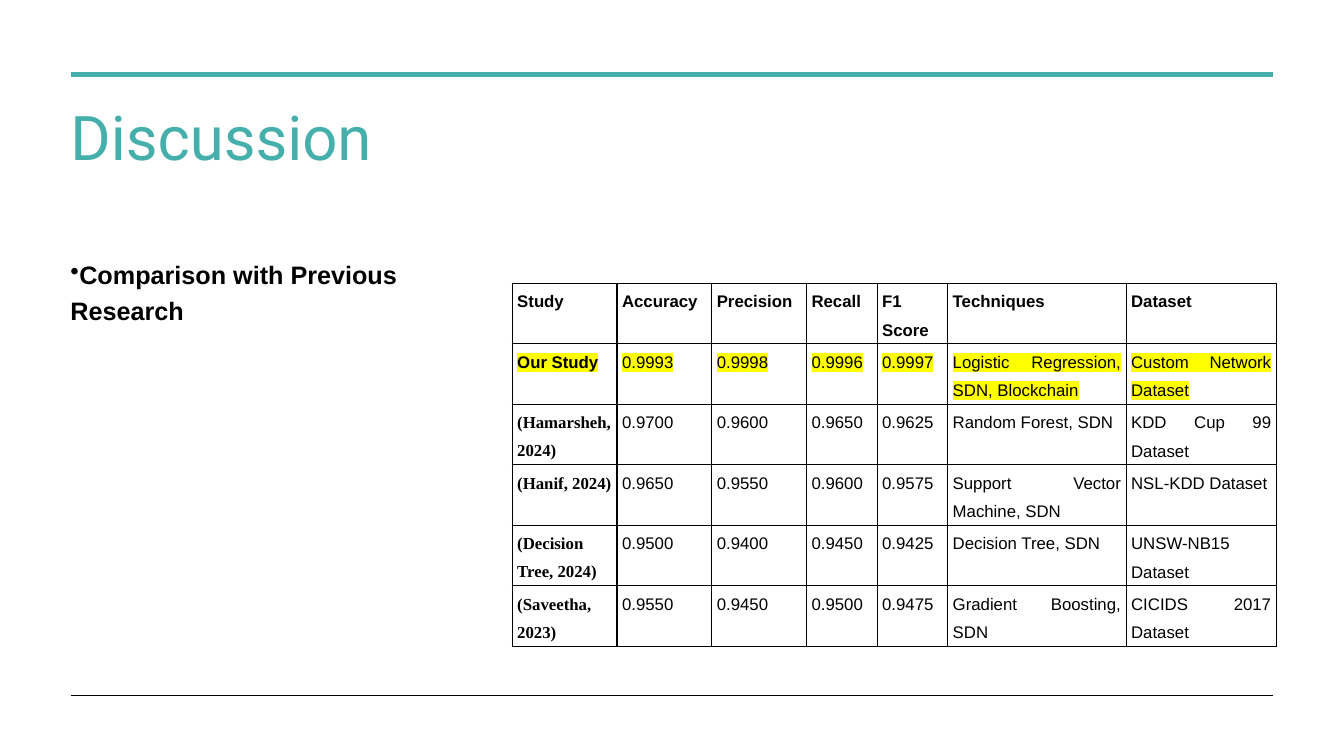
from lxml import etree
from pptx import Presentation
from pptx.dml.color import RGBColor
from pptx.enum.shapes import MSO_CONNECTOR
from pptx.enum.text import MSO_ANCHOR, PP_ALIGN
from pptx.oxml.ns import qn
from pptx.util import Inches, Pt

STRAIGHT = MSO_CONNECTOR.STRAIGHT
TOP = MSO_ANCHOR.TOP
JUSTIFY = PP_ALIGN.JUSTIFY

TEAL, BLACK, YELLOW = "45AFAC", "000000", "FFFF00"

# Content
TITLE = "Discussion"
BULLET_TEXT = "Comparison with Previous Research"
STUDIES = [
    ("Study", "Accuracy", "Precision", "Recall", "F1 Score", "Techniques", "Dataset"),
    ("Our Study", "0.9993", "0.9998", "0.9996", "0.9997",
     "Logistic Regression, SDN, Blockchain", "Custom Network Dataset"),
    ("(Hamarsheh, 2024)", "0.9700", "0.9600", "0.9650", "0.9625",
     "Random Forest, SDN", "KDD Cup 99 Dataset"),
    ("(Hanif, 2024)", "0.9650", "0.9550", "0.9600", "0.9575",
     "Support Vector Machine, SDN", "NSL-KDD Dataset"),
    ("(Decision Tree, 2024)", "0.9500", "0.9400", "0.9450", "0.9425",
     "Decision Tree, SDN", "UNSW-NB15 Dataset"),
    ("(Saveetha, 2023)", "0.9550", "0.9450", "0.9500", "0.9475",
     "Gradient Boosting, SDN", "CICIDS 2017 Dataset"),
]
HIGHLIGHTED_ROW = 1

# Layout in inches
WIDTH, HEIGHT = 13.33, 7.5
RULE_LEFT, RULE_RIGHT = 0.7, 12.63
RULES = [(0.74, TEAL, 3), (6.9, BLACK, 0.5)]
TITLE_BOX = (0.6, 1.04, 12.02, 1.18)
BULLET_BOX = (0.6, 2.46, 3.86, 4.18)
TABLE_LEFT, TABLE_TOP = 5.08, 2.81
COLUMN_WIDTHS = [1.04, 0.94, 0.94, 0.7, 0.7, 1.77, 1.49]
ROW_HEIGHT = 0.58


def color(value):
    return RGBColor.from_string(value)


def style(paragraph, name, size, hex_color, bold, spacing):
    font = paragraph.font
    font.name, font.size, font.bold = name, Pt(size), bold
    font.color.rgb = color(hex_color)
    paragraph.line_spacing = spacing


def add_text(slide, box, text):
    frame = slide.shapes.add_textbox(*map(Inches, box)).text_frame
    frame.word_wrap = True
    frame.vertical_anchor = TOP
    frame.text = text
    return frame.paragraphs[0]


def add_rule(slide, y, hex_color, width):
    rule = slide.shapes.add_connector(
        STRAIGHT, Inches(RULE_LEFT), Inches(y), Inches(RULE_RIGHT), Inches(y))
    rule.line.color.rgb = color(hex_color)
    rule.line.width = Pt(width)
    etree.SubElement(rule.element.spPr, qn("a:effectLst"))


def add_bullet(paragraph):
    properties = paragraph._p.get_or_add_pPr()
    properties.set("marL", "0")
    properties.set("indent", str(-Inches(0.25)))
    bullet = etree.Element(qn("a:buChar"), char="•")
    properties.find(qn("a:defRPr")).addprevious(bullet)


def highlight(run, hex_color):
    mark = etree.SubElement(run.font._element, qn("a:highlight"))
    etree.SubElement(mark, qn("a:srgbClr"), val=hex_color)


def add_borders(cell, hex_color, width):
    properties = cell._tc.get_or_add_tcPr()
    for position, side in enumerate(("lnL", "lnR", "lnT", "lnB")):
        border = etree.Element(qn(f"a:{side}"), w=str(Pt(width)))
        fill = etree.SubElement(border, qn("a:solidFill"))
        etree.SubElement(fill, qn("a:srgbClr"), val=hex_color)
        properties.insert(position, border)


def fill_cell(cell, text, row, column):
    cell.fill.background()
    cell.margin_left = cell.margin_right = Inches(0.05)
    cell.margin_top = cell.margin_bottom = 0
    cell.vertical_anchor = TOP
    cell.text = text
    paragraph = cell.text_frame.paragraphs[0]
    paragraph.alignment = JUSTIFY
    cited = column == 0 and row > HIGHLIGHTED_ROW
    style(paragraph, "Times New Roman" if cited else "Arial", 12, BLACK,
          row == 0 or column == 0, 1.5)
    if row == HIGHLIGHTED_ROW:
        highlight(paragraph.runs[0], YELLOW)
    add_borders(cell, BLACK, 1)


def add_study_table(slide):
    table = slide.shapes.add_table(
        len(STUDIES), len(COLUMN_WIDTHS), Inches(TABLE_LEFT), Inches(TABLE_TOP),
        Inches(sum(COLUMN_WIDTHS)), Inches(ROW_HEIGHT * len(STUDIES))).table
    table.first_row = table.horz_banding = False
    for column, width in zip(table.columns, COLUMN_WIDTHS):
        column.width = Inches(width)
    for row, study in enumerate(STUDIES):
        table.rows[row].height = Inches(ROW_HEIGHT)
        for column, text in enumerate(study):
            fill_cell(table.cell(row, column), text, row, column)


def main():
    presentation = Presentation()
    presentation.slide_width, presentation.slide_height = Inches(WIDTH), Inches(HEIGHT)
    slide = presentation.slides.add_slide(presentation.slide_layouts[6])

    # Title and rules
    style(add_text(slide, TITLE_BOX, TITLE), "Roboto", 44, TEAL, False, 0.85)
    for rule in RULES:
        add_rule(slide, *rule)

    # Bullet
    point = add_text(slide, BULLET_BOX, BULLET_TEXT)
    style(point, "Arial", 18, BLACK, True, 1.2)
    point.space_after = Pt(6)
    add_bullet(point)

    # Comparison table
    add_study_table(slide)
    presentation.save("out.pptx")


if __name__ == "__main__":
    main()
